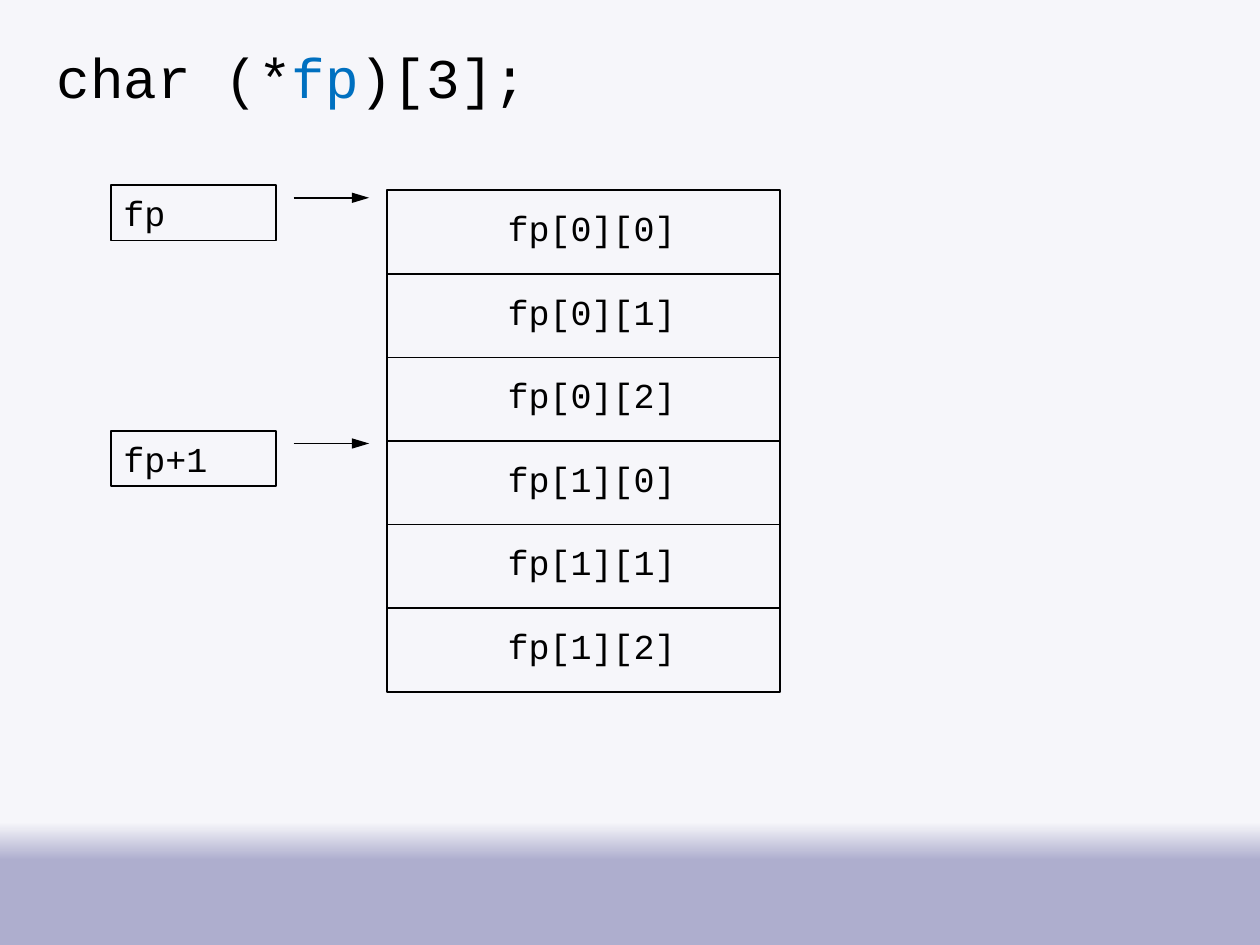
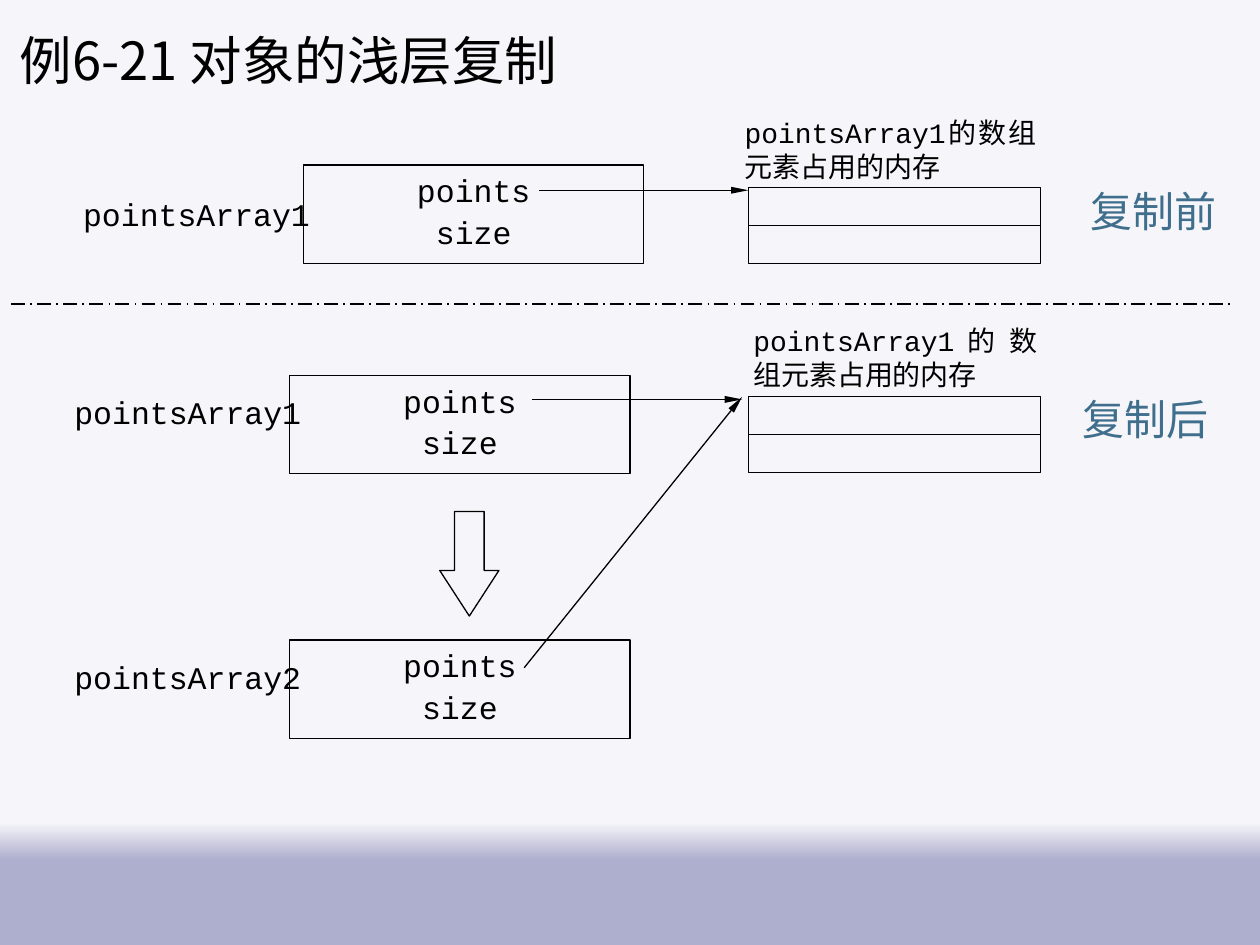
import copy

import pptx
import pptx.dml.color
import pptx.enum.dml
import pptx.enum.shapes
import pptx.enum.text
import pptx.oxml.ns
import pptx.util

# Slide grid: 100 columns by 75 rows of square cells
COLUMNS, ROWS = 100, 75
CELL = pptx.util.Inches(0.1)

COLOURS = {
    "ink": "000000",
    "pointer": "0070C0",
    "stage": "406F8D",
    "paper": "F6F6FA",
    "band": "AEAECE",
}
BACKGROUND_STOPS = [(0.87, "paper"), (0.91, "band"), (1, "band")]

CODE, HAN = "Courier New", "Noto Sans CJK SC"
ALIGN = pptx.enum.text.PP_ALIGN
ANCHOR = pptx.enum.text.MSO_ANCHOR
SHAPE = pptx.enum.shapes.MSO_SHAPE
INSET = (1, 0.5, 1, 0.5)
FLUSH = (0, 0, 0, 0)


def colour(name):
    return pptx.dml.color.RGBColor.from_string(COLOURS[name])


def cells(*counts):
    return [round(count * CELL) for count in counts]


def set_all(target, values):
    for name, value in values.items():
        setattr(target, name, value)


def add_xml(parent, tag, **attributes):
    child = parent.makeelement(pptx.oxml.ns.qn(tag), attributes)
    parent.append(child)
    return child


# Shared background: pale paper fading into a band at the foot
def paint_background(master):
    fill = master.background.fill
    fill.gradient()
    fill.gradient_angle = 270
    stop_list = next(master.element.iter(pptx.oxml.ns.qn("a:gsLst")))
    while len(stop_list) < len(BACKGROUND_STOPS):
        stop_list.append(copy.deepcopy(stop_list[-1]))
    for stop, (position, name) in zip(fill.gradient_stops, BACKGROUND_STOPS):
        stop.position = position
        stop.color.rgb = colour(name)


# Text: each paragraph is a list of (words, colour) spans
def write(box, paragraphs, size, font=CODE, align=ALIGN.LEFT, before=0,
          inset=INSET, anchor=ANCHOR.TOP):
    frame = box.text_frame
    sides = ("margin_left", "margin_top", "margin_right", "margin_bottom")
    set_all(frame, {"word_wrap": True, "vertical_anchor": anchor,
                    **dict(zip(sides, cells(*inset)))})
    for index, spans in enumerate(paragraphs):
        para = frame.add_paragraph() if index else frame.paragraphs[0]
        set_all(para, {"alignment": align,
                       "space_before": pptx.util.Pt(before)})
        for words, name in spans:
            span = para.add_run()
            span.text = words
            set_all(span.font, {"size": pptx.util.Pt(size), "name": font})
            span.font.color.rgb = colour(name)
            add_xml(span.font._element, "a:ea", typeface=HAN)


def add_text(page, place, words, size, name="ink", **style):
    box = page.shapes.add_textbox(*cells(*place))
    spans = [(words, name)] if isinstance(words, str) else words
    write(box, [spans], size, **style)


def add_outline(page, place, weight, kind=SHAPE.RECTANGLE):
    shape = page.shapes.add_shape(kind, *cells(*place))
    shape.shadow.inherit = False
    shape.fill.background()
    shape.line.color.rgb = colour("ink")
    shape.line.width = pptx.util.Pt(weight)
    return shape


def add_line(page, start, end, weight, head=None, dash=None):
    line = page.shapes.add_connector(
        pptx.enum.shapes.MSO_CONNECTOR.STRAIGHT, *cells(*start, *end))
    line.line.color.rgb = colour("ink")
    line.line.width = pptx.util.Pt(weight)
    if dash:
        line.line.dash_style = dash
    if head:
        add_xml(line.line._get_or_add_ln(), "a:tailEnd",
                type="triangle", w=head, len="lg")
    add_xml(line._element.spPr, "a:effectLst")


# A rectangle cut into equal rows
def add_stack(page, place, count, weight):
    left, top, width, height = place
    add_outline(page, place, weight)
    step = height / count
    for index in range(1, count):
        level = top + index * step
        add_line(page, (left, level), (left + width, level), weight)
    return step


# Slide 1: a pointer to an array of three characters
def build_pointer_slide(page):
    declaration = [("char (*", "ink"), ("fp", "pointer"), (")[3];", "ink")]
    add_text(page, (3.5, 2.9, 55.6, 6.3), declaration, 32, before=6.4)

    for words, top in (("fp", 14.7), ("fp+1", 34.2)):
        box = add_outline(page, (8.8, top, 13.1, 4.4), 1)
        write(box, [[(words, "ink")]], 20, before=4)
        add_line(page, (23.3, top + 1), (29.3, top + 1), 1, head="med")

    top = 15.1
    step = add_stack(page, (30.7, top, 31.2, 39.8), 6, 1)
    for index in range(6):
        row, column = divmod(index, 3)
        add_text(page, (39.3, top + 0.8 + index * step, 18.1, 4.4),
                 f"fp[{row}][{column}]", 20, before=4)


# Slide 2 parts: an array object, and the memory it points to
def add_array_object(page, name, left, top, label):
    box = add_outline(page, (left, top, 27, 7.8), 0.75)
    write(box, [[("points", "ink")], [("size", "ink")]], 18,
          align=ALIGN.CENTER, inset=(0, 0.5, 0, 0.5), before=2)
    add_text(page, (*label, 22, 3.6), name, 18, align=ALIGN.JUSTIFY,
             inset=FLUSH, before=2)


def add_memory(page, top, caption):
    add_stack(page, (59.4, top, 23.2, 6), 2, 0.75)
    add_text(page, caption, "pointsArray1的数组元素占用的内存", 16,
             align=ALIGN.JUSTIFY, inset=FLUSH)


def build_shallow_copy_slide(page):
    add_text(page, (0.6, 0, 97, 9.4), "例6-21 对象的浅层复制", 30, font=HAN,
             anchor=ANCHOR.MIDDLE)
    for words, left, top in (("复制前", 85.4, 14.7), ("复制后", 84.8, 31.2)):
        add_text(page, (left, top, 12.3, 4.3), words, 24, "stage",
                 font="Times New Roman", align=ALIGN.CENTER,
                 inset=(1, 0, 1, 0))

    # Objects before and after copying
    for name, left, top, label in (
            ("pointsArray1", 24.1, 13.1, (6.6, 15.5)),
            ("pointsArray1", 23, 29.8, (5.9, 31.2)),
            ("pointsArray2", 23, 50.8, (5.9, 52.2))):
        add_array_object(page, name, left, top, label)

    # Element memory, shared by both objects after copying
    add_memory(page, 14.9, (59.1, 9.2, 23.2, 7.7))
    add_memory(page, 31.5, (59.8, 25.7, 22.5, 7.7))
    for start, end in (((42.8, 15.1), (59.4, 15.1)),
                       ((42.2, 31.7), (58.9, 31.7)),
                       ((41.6, 53), (58.9, 31.5))):
        add_line(page, start, end, 0.75, head="sm")

    # Copy step and the divider between the two stages
    arrow = add_outline(page, (34.9, 40.6, 4.7, 8.3), 0.75, SHAPE.DOWN_ARROW)
    arrow.adjustments[0], arrow.adjustments[1] = 0.5, 0.77
    add_line(page, (0.9, 24.1), (98, 24.1), 1,
             dash=pptx.enum.dml.MSO_LINE.LONG_DASH_DOT)


def main():
    deck = pptx.Presentation()
    deck.slide_width, deck.slide_height = cells(COLUMNS, ROWS)
    paint_background(deck.slide_master)
    for build in (build_pointer_slide, build_shallow_copy_slide):
        build(deck.slides.add_slide(deck.slide_layouts[6]))
    deck.save("out.pptx")


if __name__ == "__main__":
    main()
